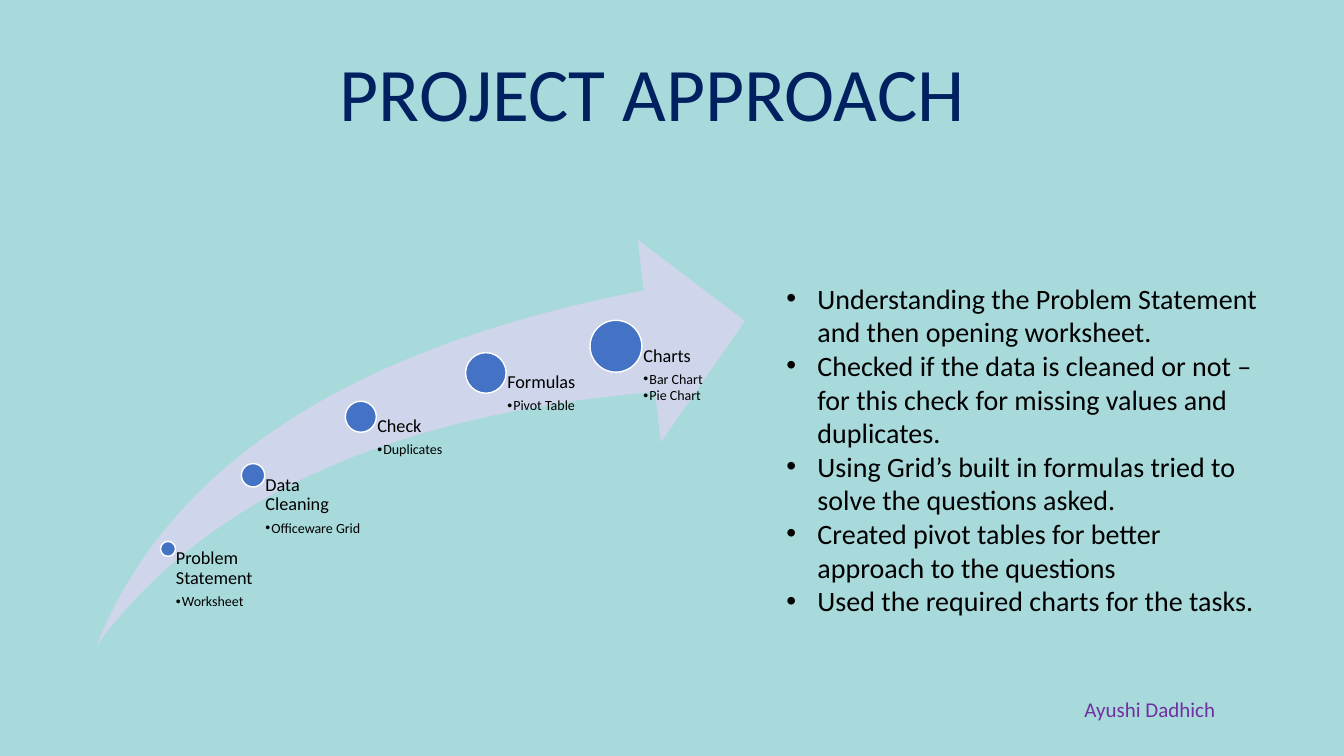
from dataclasses import dataclass

from lxml import etree
from pptx import Presentation
from pptx import util as u
from pptx.dml.color import RGBColor
from pptx.enum import shapes, text
from pptx.oxml import ns

WIDE, HIGH = u.Inches(13.333), u.Inches(7.5)
AQUA = RGBColor(0xA8, 0xDA, 0xDC)
MIST = RGBColor(0xCF, 0xD5, 0xEA)
BLUE = RGBColor(0x44, 0x72, 0xC4)
NAVY = RGBColor(0x00, 0x20, 0x60)
PLUM = RGBColor(0x70, 0x30, 0xA0)
BLACK = RGBColor(0, 0, 0)
WHITE = RGBColor(255, 255, 255)
BASE = 85.3


@dataclass
class Step:
    x: float
    y: float
    dot: float
    width: float
    name: str
    items: tuple[str, ...]


STEPS = (
    Step(12.5, 72.6, 1.12, 6.3, "Problem Statement", ("Worksheet",)),
    Step(18.83, 62.87, 1.74, 8.03, "Data Cleaning", ("Officeware Grid",)),
    Step(26.85, 55.13, 2.31, 9.3, "Check", ("Duplicates",)),
    Step(36.15, 49.33, 3.02, 9.68, "Formulas", ("Pivot Table",)),
    Step(45.83, 45.8, 3.86, 9.68, "Charts", ("Bar Chart", "Pie Chart")),
)
POINTS = (
    "Understanding the Problem Statement and then opening worksheet.",
    "Checked if the data is cleaned or not – for this check for missing values and duplicates.",
    "Using Grid’s built in formulas tried to solve the questions asked.",
    "Created pivot tables for better approach to the questions",
    "Used the required charts for the tasks.",
)


def across(share: float) -> int:
    return round(WIDE * share / 100)


def down(share: float) -> int:
    return round(HIGH * share / 100)


def place(box, x: float, y: float, width: float, height: float) -> None:
    box.left, box.top = across(x), down(y)
    box.width, box.height = across(width), down(height)


def setup(frame) -> None:
    frame.word_wrap = True
    frame.auto_size = text.MSO_AUTO_SIZE.NONE
    frame.vertical_anchor = text.MSO_ANCHOR.TOP


def write(frame, words: str, *, size: float, color: RGBColor = BLACK,
          indent: float = 0, line: float = 1, after: float = 0) -> None:
    para = frame.paragraphs[0]
    if para.runs:
        para = frame.add_paragraph()
    para.alignment = text.PP_ALIGN.LEFT
    para.line_spacing = line
    para.space_before, para.space_after = u.Pt(0), u.Pt(after)
    run = para.add_run()
    run.text = words
    run.font.name, run.font.size = "Calibri", u.Pt(size)
    run.font.color.rgb = color
    if indent:
        props = para._p.get_or_add_pPr()
        props.set("marL", str(u.Inches(indent)))
        props.set("indent", str(-u.Inches(indent)))
        etree.SubElement(props, ns.qn("a:buFont"), typeface="Arial")
        etree.SubElement(props, ns.qn("a:buChar"), char="•")


def draw(slide, step: Step) -> None:
    size = across(step.dot)
    left, top = across(step.x), down(step.y)
    dot = slide.shapes.add_shape(
        shapes.MSO_SHAPE.OVAL, left - size // 2, top - size // 2, size, size)
    dot.shadow.inherit = False
    dot.fill.solid()
    dot.fill.fore_color.rgb = BLUE
    dot.line.color.rgb = WHITE
    dot.line.width = u.Pt(1)
    label = slide.shapes.add_textbox(
        left, top, across(step.width), down(BASE - step.y))
    frame = label.text_frame
    setup(frame)
    frame.margin_left = round(size * 0.53)
    frame.margin_top = frame.margin_right = frame.margin_bottom = 0
    write(frame, step.name, size=13, line=0.9, after=4.5)
    for item in step.items:
        write(frame, item, size=10, indent=0.06, line=0.9, after=1)


def main() -> None:
    deck = Presentation()
    deck.slide_width, deck.slide_height = WIDE, HIGH
    slide = deck.slides.add_slide(deck.slide_layouts[1])
    slide.background.fill.solid()
    slide.background.fill.fore_color.rgb = AQUA

    swoosh = slide.shapes.add_shape(
        shapes.MSO_SHAPE.SWOOSH_ARROW,
        across(7.2), down(31.73), across(48.23), down(53.6))
    swoosh.adjustments[0] = swoosh.adjustments[1] = 0.25
    swoosh.shadow.inherit = False
    swoosh.fill.solid()
    swoosh.fill.fore_color.rgb = MIST
    swoosh.line.fill.background()
    for step in STEPS:
        draw(slide, step)

    title = slide.shapes.title
    place(title, 24.53, 5.47, 70, 13.47)
    setup(title.text_frame)
    write(title.text_frame, "PROJECT APPROACH", size=54, color=NAVY)

    body = slide.placeholders[1]
    place(body, 57.75, 36.53, 37.8, 46.27)
    setup(body.text_frame)
    for point in POINTS:
        write(body.text_frame, point, size=20, indent=0.31)

    name = slide.shapes.add_textbox(
        across(79.95), down(91.47), across(19.5), down(4.67))
    setup(name.text_frame)
    write(name.text_frame, "Ayushi Dadhich", size=15, color=PLUM)
    deck.save("out.pptx")


if __name__ == "__main__":
    main()
